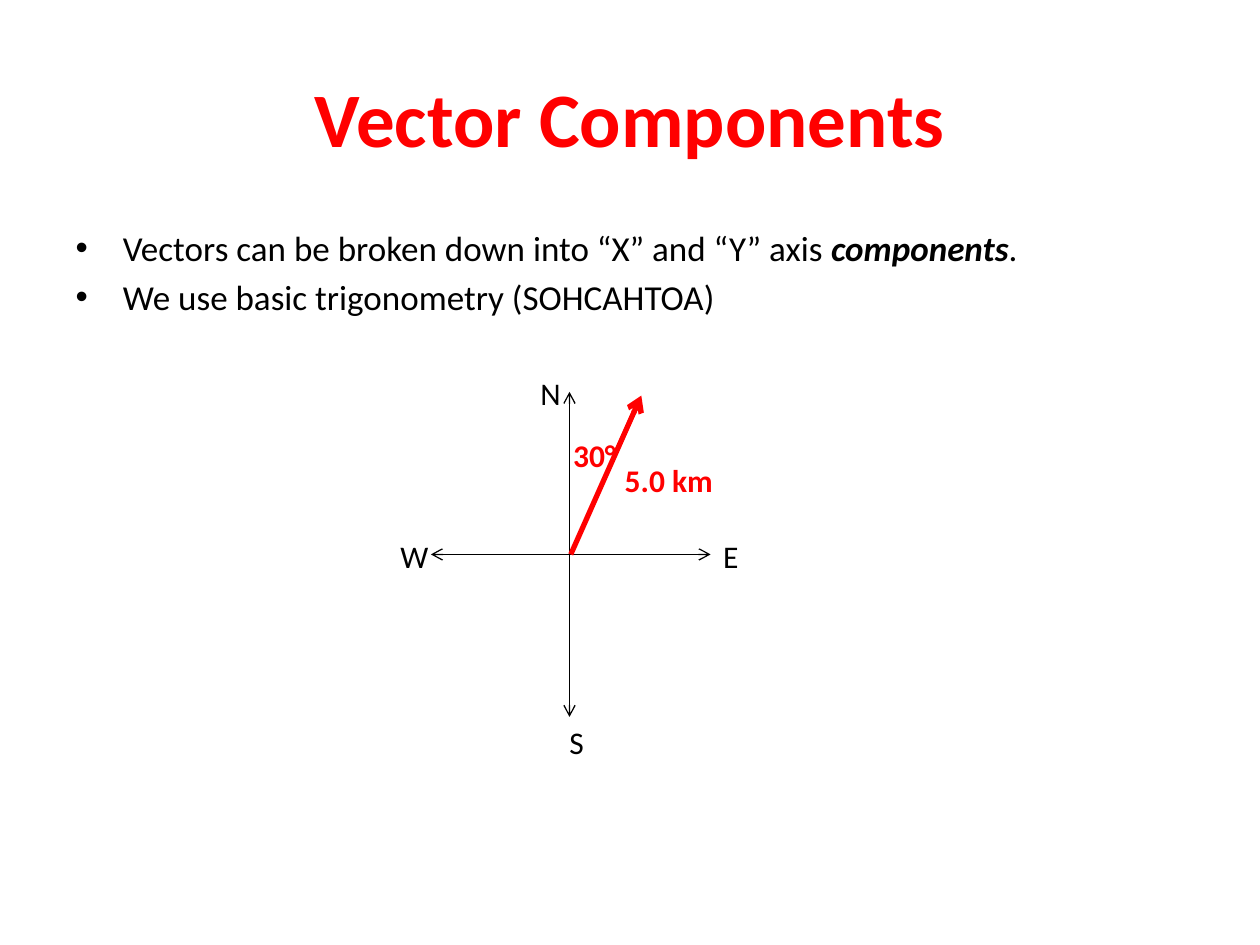
import pptx
import pptx.dml.color
import pptx.enum.shapes
import pptx.enum.text
import pptx.oxml
import pptx.oxml.ns
import pptx.util
from pptx.util import Inches

INK = {"black": "000000", "red": "FF0000"}
MID = (4.52, 4.4)


def tint(name):
    return pptx.dml.color.RGBColor.from_string(INK[name])


def write(para, text, size=18, color="black", bold=False, italic=False):
    run = para.add_run()
    run.text = text
    font = run.font
    font.name = "Calibri"
    font.size = pptx.util.Pt(size)
    font.bold = bold
    font.italic = italic
    font.color.rgb = tint(color)


def place(shape, left, top, width, height):
    shape.left, shape.top = Inches(left), Inches(top)
    shape.width, shape.height = Inches(width), Inches(height)


def label(slide, text, left, top, width=0.67, height=0.38, **style):
    box = slide.shapes.add_textbox(
        Inches(left), Inches(top), Inches(width), Inches(height))
    box.text_frame.word_wrap = True
    write(box.text_frame.paragraphs[0], text, **style)


def arrow(slide, start, end, color="black", width=0.75, ends=("tailEnd",)):
    line = slide.shapes.add_connector(
        pptx.enum.shapes.MSO_CONNECTOR.STRAIGHT,
        *map(Inches, start + end))
    line.line.color.rgb = tint(color)
    line.line.width = pptx.util.Pt(width)
    edge = line.line._get_or_add_ln()
    for name in ends:
        tip = pptx.oxml.ns.qn("a:" + name)
        edge.append(edge.makeelement(tip, {"type": "arrow"}))
    props = line._element.spPr
    props.append(props.makeelement(pptx.oxml.ns.qn("a:effectLst"), {}))


def title(slide):
    shape = slide.shapes.title
    place(shape, 0.5, 0.3, 9, 1.25)
    frame = shape.text_frame
    frame.vertical_anchor = pptx.enum.text.MSO_ANCHOR.MIDDLE
    para = frame.paragraphs[0]
    para.alignment = pptx.enum.text.PP_ALIGN.CENTER
    write(para, "Vector Components", size=44, color="red", bold=True)


def points(slide):
    shape = slide.placeholders[1]
    place(shape, 0.5, 1.75, 9, 4.95)
    frame = shape.text_frame
    first = frame.paragraphs[0]
    first.space_before = pptx.util.Pt(0)
    write(first, "Vectors can be broken down into “X” and “Y” axis ", size=20)
    write(first, "components", size=20, bold=True, italic=True)
    write(first, ".", size=20)
    write(frame.add_paragraph(), "We use basic trigonometry (SOHCAHTOA)", size=20)


def compass(slide):
    x, y = MID
    both = ("headEnd", "tailEnd")
    arrow(slide, (x, 5.69), (x, 3.11), ends=both)
    arrow(slide, (3.42, y), (5.64, y), ends=both)
    for text, left, top in (("N", 4.19, 2.92), ("E", 5.64, 4.21),
                            ("S", 4.42, 5.69), ("W", 3.08, 4.21)):
        label(slide, text, left, top)


def vector(slide):
    arrow(slide, (4.53, 4.4), (5.09, 3.14), color="red", width=3)
    label(slide, "30°", 4.45, 3.41, 0.71, 0.4, color="red", bold=True)
    label(slide, "5.0 km", 4.86, 3.61, 1.01, 0.4, color="red", bold=True)


def main():
    deck = pptx.Presentation()
    deck.slide_width, deck.slide_height = Inches(10), Inches(7.5)
    slide = deck.slides.add_slide(deck.slide_layouts[1])
    title(slide)
    points(slide)
    compass(slide)
    vector(slide)
    deck.save("out.pptx")


if __name__ == "__main__":
    main()
